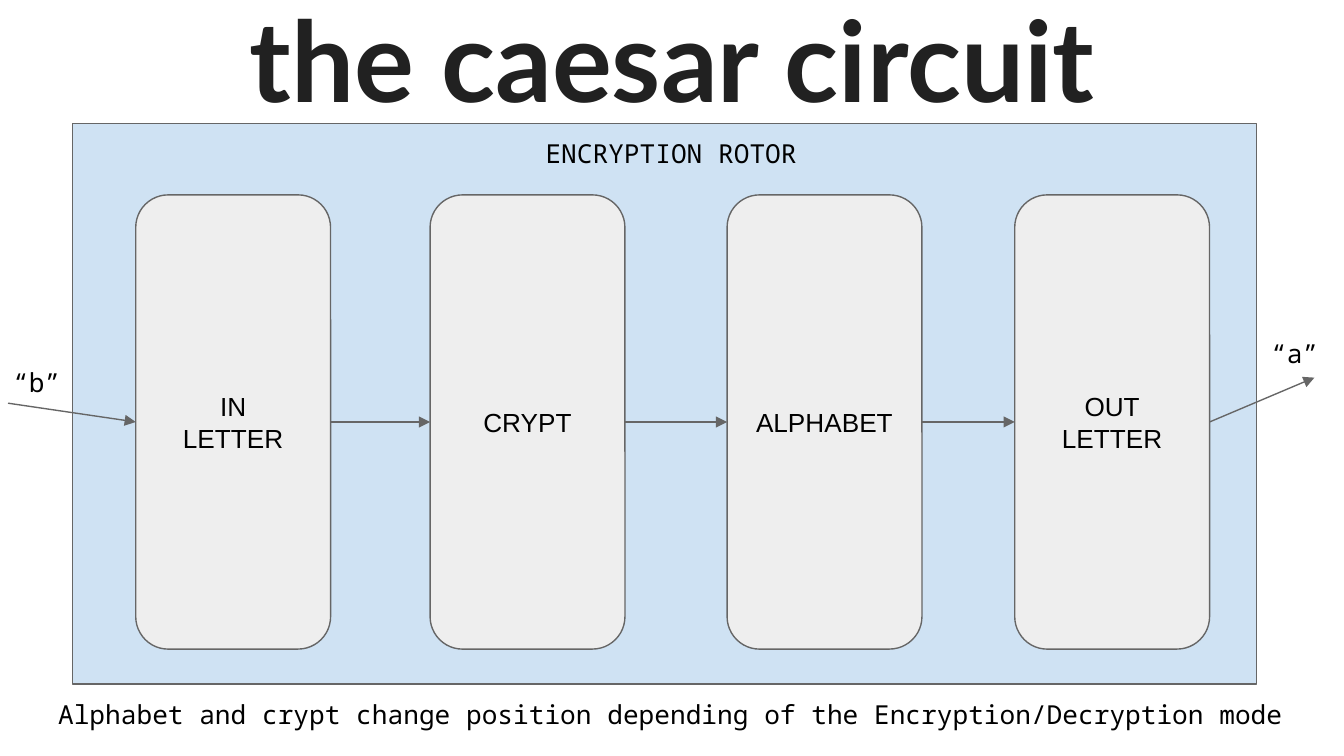
from typing import NamedTuple

from lxml import etree
from pptx import Presentation
from pptx.dml.color import RGBColor
from pptx.enum.shapes import MSO_CONNECTOR, MSO_SHAPE
from pptx.enum.text import MSO_ANCHOR, MSO_AUTO_SIZE, PP_ALIGN
from pptx.oxml.ns import qn
from pptx.util import Inches, Pt

RECTANGLE = MSO_SHAPE.RECTANGLE
ROUNDED = MSO_SHAPE.ROUNDED_RECTANGLE
STRAIGHT = MSO_CONNECTOR.STRAIGHT
TOP, MIDDLE = MSO_ANCHOR.TOP, MSO_ANCHOR.MIDDLE
LEFT, CENTER = PP_ALIGN.LEFT, PP_ALIGN.CENTER
LEFT_SIDE, RIGHT_SIDE = 1, 3

COLORS = {
    "title": "212121",
    "text": "000000",
    "rotor": "CFE2F3",
    "stage": "EEEEEE",
    "line": "666666",
}
MONO = "Noto Sans Mono"
SLIDE_WIDTH = 10
SLIDE_HEIGHT = SLIDE_WIDTH * 9 / 16
STAGE_TOP, STAGE_WIDTH, STAGE_HEIGHT = 1.45, 1.45, 3.38


class Box(NamedTuple):
    left: float
    top: float
    width: float
    height: float


class Stage(NamedTuple):
    text: str
    left: float


class Label(NamedTuple):
    text: str
    box: Box
    align: PP_ALIGN


STAGES = [
    Stage("IN\nLETTER", 1.01),
    Stage("CRYPT", 3.2),
    Stage("ALPHABET", 5.41),
    Stage("OUT\nLETTER", 7.55),
]
LABELS = [
    Label("ENCRYPTION ROTOR", Box(3.72, 0.92, 2.55, 0.5), CENTER),
    Label("“b”", Box(0, 2.63, 0.63, 0.5), LEFT),
    Label("“a”", Box(9.36, 2.41, 0.63, 0.5), LEFT),
    Label(
        "Alphabet and crypt change position depending of the Encryption/Decryption mode",
        Box(0, 5.1, 9.99, 0.58),
        CENTER,
    ),
]


def color(name: str) -> RGBColor:
    return RGBColor.from_string(COLORS[name])


def lengths(box: Box) -> list:
    return [Inches(value) for value in box]


def write_text(shape, text: str, *, font=MONO, size=14, fill="text", bold=False,
               align=CENTER, anchor=TOP) -> None:
    frame = shape.text_frame
    frame.text = text
    frame.word_wrap = True
    frame.auto_size = MSO_AUTO_SIZE.NONE
    frame.vertical_anchor = anchor
    frame.margin_left = frame.margin_right = Inches(0.1)
    frame.margin_top = frame.margin_bottom = Inches(0.1)
    for paragraph in frame.paragraphs:
        paragraph.alignment = align
        paragraph.font.name = font
        paragraph.font.size = Pt(size)
        paragraph.font.bold = bold
        paragraph.font.color.rgb = color(fill)


def add_panel(slide, kind: MSO_SHAPE, box: Box, fill: str):
    shape = slide.shapes.add_shape(kind, *lengths(box))
    shape.shadow.inherit = False
    shape.fill.solid()
    shape.fill.fore_color.rgb = color(fill)
    shape.line.color.rgb = color("line")
    shape.line.width = Pt(0.75)
    return shape


def add_stage(slide, stage: Stage):
    box = Box(stage.left, STAGE_TOP, STAGE_WIDTH, STAGE_HEIGHT)
    shape = add_panel(slide, ROUNDED, box, "stage")
    shape.adjustments[0] = 0.167
    write_text(shape, stage.text, font="Arial", anchor=MIDDLE)
    return shape


def add_label(slide, label: Label) -> None:
    shape = slide.shapes.add_textbox(*lengths(label.box))
    write_text(shape, label.text, align=label.align)


def add_arrow(slide, source=None, target=None, start=(0, 0), end=(0, 0)) -> None:
    points = [Inches(value) for value in (*start, *end)]
    arrow = slide.shapes.add_connector(STRAIGHT, *points)
    if source is not None:
        arrow.begin_connect(source, RIGHT_SIDE)
    if target is not None:
        arrow.end_connect(target, LEFT_SIDE)
    arrow.line.color.rgb = color("line")
    arrow.line.width = Pt(0.75)
    line = arrow._element.spPr.find(qn("a:ln"))
    etree.SubElement(line, qn("a:tailEnd"), type="triangle")
    etree.SubElement(arrow._element.spPr, qn("a:effectLst"))


def main() -> None:
    presentation = Presentation()
    presentation.slide_width = Inches(SLIDE_WIDTH)
    presentation.slide_height = Inches(SLIDE_HEIGHT)
    slide = presentation.slides.add_slide(presentation.slide_layouts[5])

    title = slide.shapes.title
    title.left, title.top, title.width, title.height = lengths(Box(0.34, -0.17, 9.32, 1.18))
    write_text(title, "the caesar circuit", font="Lato", size=60, fill="title", bold=True)

    add_panel(slide, RECTANGLE, Box(0.54, 0.92, 8.81, 4.17), "rotor")
    stages = [add_stage(slide, stage) for stage in STAGES]
    for label in LABELS:
        add_label(slide, label)

    add_arrow(slide, target=stages[0], start=(0.06, 3))
    for source, target in zip(stages, stages[1:]):
        add_arrow(slide, source, target)
    add_arrow(slide, source=stages[-1], end=(9.78, 2.81))

    presentation.save("out.pptx")


if __name__ == "__main__":
    main()
